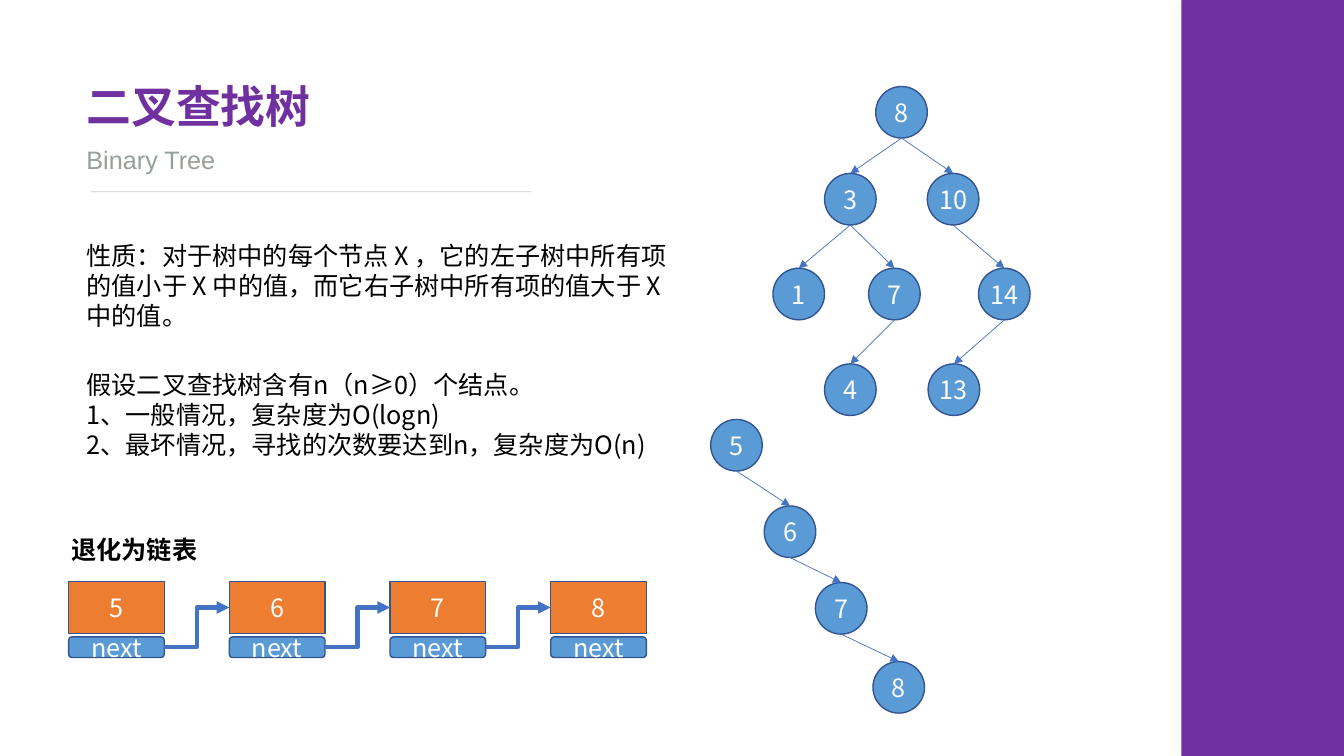
from dataclasses import dataclass

from lxml.etree import SubElement
from pptx import Presentation
from pptx.dml.color import RGBColor
from pptx.enum.shapes import MSO_CONNECTOR, MSO_SHAPE
from pptx.enum.text import MSO_ANCHOR, MSO_AUTO_SIZE, PP_ALIGN
from pptx.oxml.ns import qn
from pptx.util import Cm, Pt


@dataclass(frozen=True)
class Theme:
    purple: str = "7030A0"
    grey: str = "969F98"
    shadow: str = "D5D7D5"
    blue: str = "5B9BD5"
    orange: str = "ED7D31"
    outline: str = "325491"
    arrow: str = "4472C4"
    white: str = "FFFFFF"
    black: str = "000000"
    heading_font: str = "Arial"
    body_font: str = "Noto Sans CJK SC"
    title_size: int = 32
    body_size: int = 18


THEME = Theme()
NODE = 1.3  # node diameter in cm

# Nodes: name -> (left, top) in cm from the corner of the tree's box
SEARCH_TREE = {
    "8": (2.59, 0), "3": (1.3, 2.19), "10": (3.89, 2.19),
    "1": (0, 4.58), "7": (2.41, 4.58), "14": (5.18, 4.58),
    "4": (1.3, 6.99), "13": (3.91, 6.99),
}
SEARCH_EDGES = [("8", "3"), ("8", "10"), ("10", "14"), ("3", "7"),
                ("3", "1"), ("7", "4"), ("14", "13")]
CHAIN_TREE = {"5": (0, 0), "6": (1.35, 2.18), "7": (2.64, 4.11), "8": (4.09, 6.1)}
CHAIN_EDGES = [("5", "6"), ("6", "7"), ("7", "8")]


def style_paragraph(para, color, size=THEME.body_size, face=THEME.body_font, bold=False):
    font = para.font
    font.name, font.size, font.bold = face, Pt(size), bold
    font.color.rgb = RGBColor.from_string(color)
    east_asian = SubElement(font._element, qn("a:ea"))
    east_asian.set("typeface", face)


def add_text(page, box, lines, color=THEME.black, wrap=True, **style):
    frame = page.shapes.add_textbox(*map(Cm, box)).text_frame
    frame.word_wrap = wrap
    frame.auto_size = MSO_AUTO_SIZE.SHAPE_TO_FIT_TEXT
    frame.text = "\n".join(lines)
    for para in frame.paragraphs:
        style_paragraph(para, color, **style)


def add_cell(group, kind, box, label, fill):
    """Add an outlined shape with a centred white label."""
    cell = group.shapes.add_shape(kind, *map(Cm, box))
    cell.shadow.inherit = False
    cell.fill.solid()
    cell.fill.fore_color.rgb = RGBColor.from_string(fill)
    cell.line.color.rgb = RGBColor.from_string(THEME.outline)
    cell.line.width = Pt(1)
    frame = cell.text_frame
    frame.word_wrap = False
    frame.vertical_anchor = MSO_ANCHOR.MIDDLE
    frame.text = label
    para = frame.paragraphs[0]
    para.alignment = PP_ALIGN.CENTER
    style_paragraph(para, THEME.white)
    return cell


def add_line(parent, kind, start, end, color, width, arrow=True):
    line = parent.shapes.add_connector(kind, *start, *end)
    line.line.color.rgb = RGBColor.from_string(color)
    line.line.width = Pt(width)
    if arrow:
        SubElement(line.line._get_or_add_ln(), qn("a:tailEnd")).set("type", "triangle")
    SubElement(line._element.spPr, qn("a:effectLst"))
    return line


def draw_side_bar(page, box):
    bar = page.shapes.add_shape(MSO_SHAPE.RECTANGLE, *map(Cm, box))
    bar.fill.solid()
    bar.fill.fore_color.rgb = RGBColor.from_string(THEME.purple)
    bar.line.fill.background()
    # Soft shadow around the bar
    effects = SubElement(bar._element.spPr, qn("a:effectLst"))
    shadow = SubElement(effects, qn("a:outerShdw"), blurRad=str(Pt(10)), dist="0", dir="0")
    color = SubElement(shadow, qn("a:srgbClr"), val=THEME.shadow)
    SubElement(color, qn("a:alpha"), val="40000")


def draw_heading(page, left, top):
    add_text(page, (left, top, 6.22, 1.63), ["二叉查找树"], THEME.purple, wrap=False,
             size=THEME.title_size, face=THEME.heading_font, bold=True)
    add_text(page, (left, top + 1.66, 6.99, 1.02), ["Binary Tree"], THEME.grey,
             face=THEME.heading_font)
    rule_y = Cm(top + 2.98)
    rule = add_line(page, MSO_CONNECTOR.STRAIGHT, (Cm(left + 11.46), rule_y),
                    (Cm(left + 0.36), rule_y), THEME.grey, 0.5, arrow=False)
    color = rule._element.spPr.find(".//" + qn("a:srgbClr"))
    SubElement(color, qn("a:alpha"), val="50000")


def draw_explanation(page, left, top):
    add_text(page, (left, top, 15.27, 2.57),
             ["性质：对于树中的每个节点 X ，它的左子树中所有项的值小于 X 中的值，"
              "而它右子树中所有项的值大于 X 中的值。"])
    add_text(page, (left, top + 3.25, 15.06, 2.57),
             ["假设二叉查找树含有n（n≥0）个结点。",
              "1、一般情况，复杂度为O(logn)",
              "2、最坏情况，寻找的次数要达到n，复杂度为O(n)"])


def draw_tree(page, left, top, nodes, edges):
    group = page.shapes.add_group_shape()
    circles = {
        name: add_cell(group, MSO_SHAPE.OVAL, (left + x, top + y, NODE, NODE),
                       name, THEME.blue)
        for name, (x, y) in nodes.items()
    }
    for parent_name, child_name in edges:
        parent, child = circles[parent_name], circles[child_name]
        start = (parent.left + parent.width // 2, parent.top + parent.height)
        end = (child.left + child.width // 2, child.top)
        edge = add_line(group, MSO_CONNECTOR.STRAIGHT, start, end, THEME.arrow, 0.5)
        edge.end_connect(child, 0)


def draw_linked_list(page, left, top, values, pitch=4.05, width=2.41):
    add_text(page, (left - 0.18, top - 1.32, 6.99, 1.02), ["退化为链表"], bold=True)
    group = page.shapes.add_group_shape()
    cells = []
    for index, value in enumerate(values):
        x = left + index * pitch
        value_cell = add_cell(group, MSO_SHAPE.RECTANGLE, (x, top, width, 1.3),
                              value, THEME.orange)
        next_cell = add_cell(group, MSO_SHAPE.ROUNDED_RECTANGLE,
                             (x, top + 1.39, width, 0.52), "next", THEME.blue)
        cells.append((value_cell, next_cell))
    # Each "next" points at the following value
    for (_, source), (target, _) in zip(cells, cells[1:]):
        start = (source.left + source.width, source.top + source.height // 2)
        end = (target.left, target.top + target.height // 2)
        link = add_line(group, MSO_CONNECTOR.ELBOW, start, end, THEME.arrow, 3)
        link.begin_connect(source, 3)
        link.end_connect(target, 1)


def main():
    deck = Presentation()
    deck.slide_width, deck.slide_height = Cm(33.87), Cm(19.05)
    page = deck.slides.add_slide(deck.slide_layouts[6])

    draw_side_bar(page, (29.77, 0, 4.1, 19.05))
    draw_heading(page, 1.93, 1.85)
    draw_tree(page, 19.48, 2.18, SEARCH_TREE, SEARCH_EDGES)
    draw_explanation(page, 1.93, 5.92)
    draw_tree(page, 17.91, 10.57, CHAIN_TREE, CHAIN_EDGES)
    draw_linked_list(page, 1.73, 14.66, ["5", "6", "7", "8"])

    deck.save("out.pptx")


if __name__ == "__main__":
    main()
